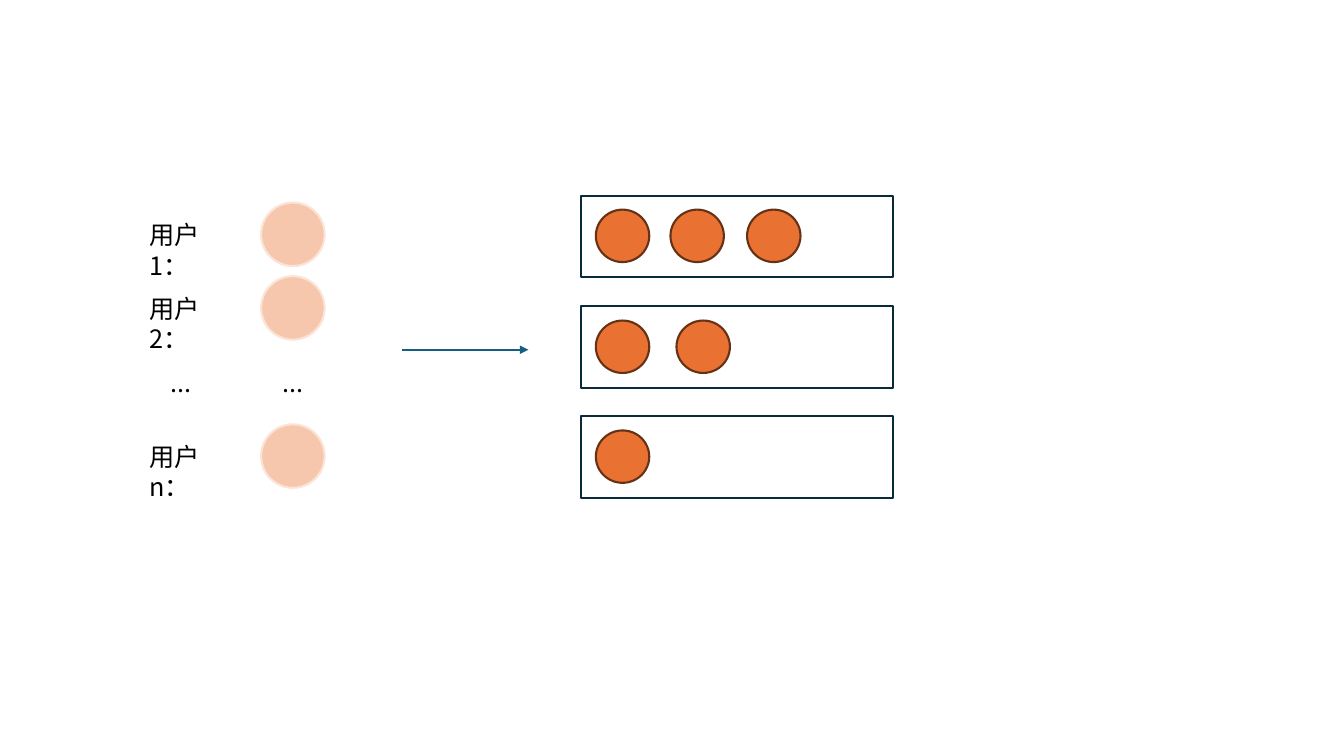
from dataclasses import dataclass

from lxml import etree
from pptx import Presentation
from pptx.dml.color import RGBColor
from pptx.enum import shapes, text
from pptx.oxml import ns
from pptx.util import Inches, Pt


@dataclass(frozen=True)
class Theme:
    font: str = "Noto Sans CJK SC"
    text_size: float = 18
    line_width: float = 1.5
    ink: str = "000000"
    user_fill: str = "F6C6AD"
    user_line: str = "FBE3D6"
    item_fill: str = "E97132"
    item_line: str = "663216"
    box_line: str = "092A39"
    arrow: str = "156082"


@dataclass(frozen=True)
class UserRow:
    label: str
    top: float


@dataclass(frozen=True)
class Queue:
    top: float
    item_lefts: tuple[float, ...]


THEME = Theme()
USERS = [UserRow("用户1：", 2.13), UserRow("用户2：", 2.86), UserRow("用户n：", 4.33)]
QUEUES = [
    Queue(1.94, (5.91, 6.65, 7.41)),
    Queue(3.04, (5.91, 6.71)),
    Queue(4.13, (5.91,)),
]


def add_label(slide, words: str, left: float, top: float, width: float,
              align=text.PP_ALIGN.LEFT, right_inset: float = 0.1) -> None:
    box = slide.shapes.add_textbox(Inches(left), Inches(top), Inches(width), Inches(0.4))
    frame = box.text_frame
    frame.word_wrap = True
    frame.margin_right = Inches(right_inset)
    paragraph = frame.paragraphs[0]
    paragraph.alignment = align
    run = paragraph.add_run()
    run.text = words
    run.font.name = THEME.font
    run.font.size = Pt(THEME.text_size)
    run.font.color.rgb = RGBColor.from_string(THEME.ink)
    east_asian = etree.SubElement(run.font._element, ns.qn("a:ea"))
    east_asian.set("typeface", THEME.font)


def add_outline(slide, kind, left: float, top: float, width: float, height: float,
                line: str, fill: str | None = None) -> None:
    shape = slide.shapes.add_shape(
        kind, Inches(left), Inches(top), Inches(width), Inches(height))
    shape.shadow.inherit = False
    if fill:
        shape.fill.solid()
        shape.fill.fore_color.rgb = RGBColor.from_string(fill)
    else:
        shape.fill.background()
    shape.line.color.rgb = RGBColor.from_string(line)
    shape.line.width = Pt(THEME.line_width)


def add_arrow(slide, start: float, end: float, y: float) -> None:
    arrow = slide.shapes.add_connector(
        shapes.MSO_CONNECTOR.STRAIGHT, Inches(start), Inches(y), Inches(end), Inches(y))
    arrow.line.color.rgb = RGBColor.from_string(THEME.arrow)
    arrow.line.width = Pt(THEME.line_width)
    head = etree.SubElement(arrow.line._get_or_add_ln(), ns.qn("a:tailEnd"))
    head.set("type", "triangle")
    etree.SubElement(arrow._element.spPr, ns.qn("a:effectLst"))


def main() -> None:
    presentation = Presentation()
    presentation.slide_width = Inches(13.33)
    presentation.slide_height = Inches(7.5)
    slide = presentation.slides.add_slide(presentation.slide_layouts[6])
    circle = shapes.MSO_SHAPE.FLOWCHART_CONNECTOR

    # Users; the wide right inset breaks each label after 用户
    for user in USERS:
        add_label(slide, user.label, 1.38, user.top, 1.08, right_inset=0.43)
        add_outline(slide, circle, 2.59, user.top - 0.12, 0.63, 0.63,
                    THEME.user_line, THEME.user_fill)
    for left in (1.43, 2.54):
        add_label(slide, "...", left, 3.59, 0.73, text.PP_ALIGN.CENTER)

    # Arrow from users to queues
    add_arrow(slide, 3.99, 5.24, 3.47)

    # Queues and their items
    for queue in QUEUES:
        for left in queue.item_lefts:
            add_outline(slide, circle, left, queue.top + 0.14, 0.53, 0.52,
                        THEME.item_line, THEME.item_fill)
        add_outline(slide, shapes.MSO_SHAPE.RECTANGLE, 5.76, queue.top, 3.1, 0.81,
                    THEME.box_line)

    presentation.save("out.pptx")


if __name__ == "__main__":
    main()
